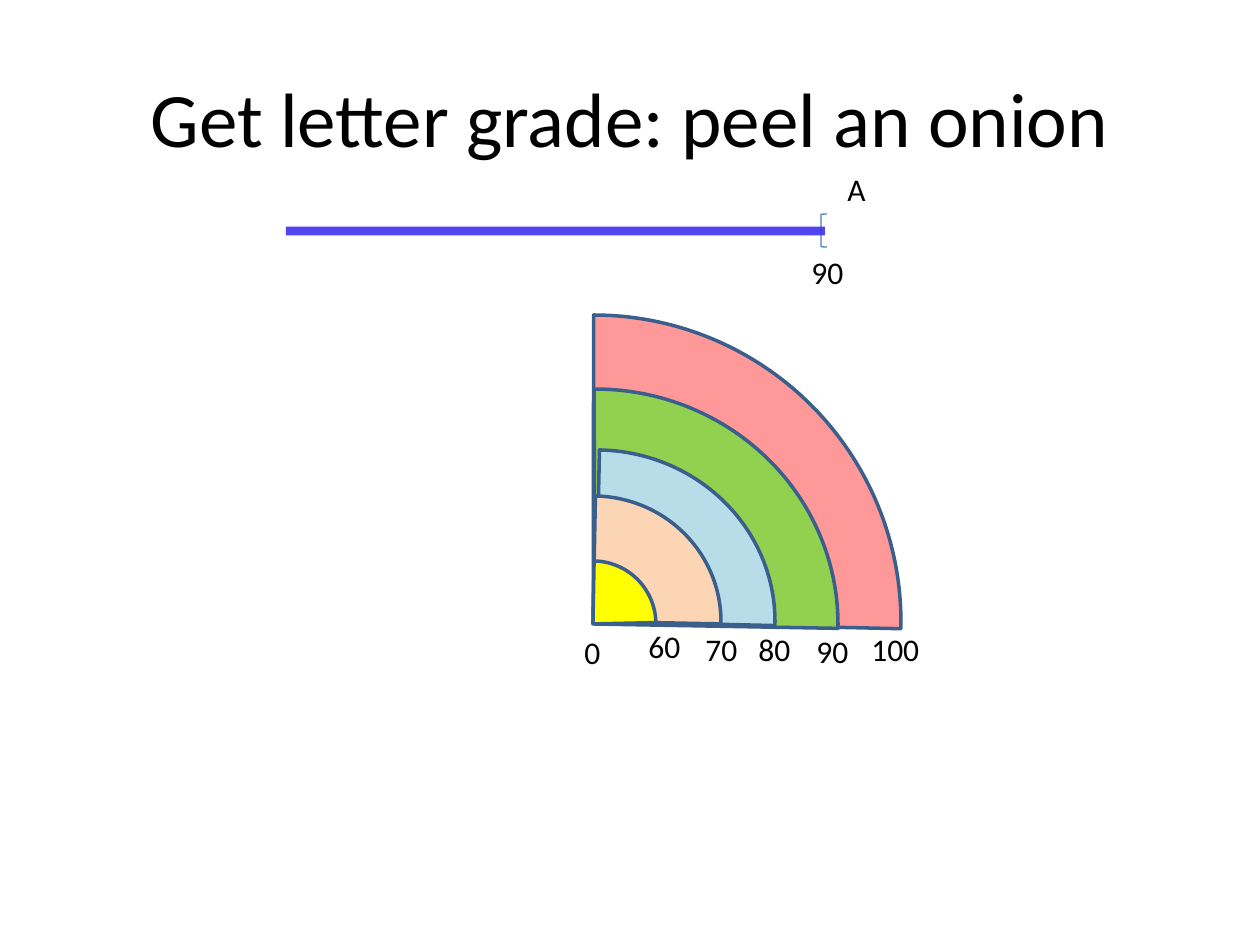
"""Build the letter-grade onion slide."""
from lxml import etree
from pptx import Presentation
from pptx.dml.color import RGBColor
from pptx.enum.shapes import MSO_CONNECTOR, MSO_SHAPE
from pptx.enum.text import MSO_ANCHOR, MSO_AUTO_SIZE, PP_ALIGN
from pptx.oxml.ns import qn
from pptx.util import Emu, Pt

STRAIGHT = MSO_CONNECTOR.STRAIGHT
PIE = MSO_SHAPE.PIE
LEFT_BRACKET = MSO_SHAPE.LEFT_BRACKET
MIDDLE = MSO_ANCHOR.MIDDLE
CENTER = PP_ALIGN.CENTER
FIT_SHAPE = MSO_AUTO_SIZE.SHAPE_TO_FIT_TEXT
SCALE = 914400 / 126
ANGLE_UNIT = 60000 / 100000
TITLE_ONLY = 5
LABEL_HEIGHT = 50

COLORS = {
    "text": "000000", "bracket": "4B7EBC", "range": "3F31EF", "outline": "3A5F8C",
    "grade_a": "FF0000", "grade_b": "92D050", "grade_c": "B7DEE8",
    "grade_d": "FCD5B5", "grade_f": "FFFF00",
}


def px(*lengths):
    return [Emu(round(length * SCALE)) for length in lengths]


def color(name):
    return RGBColor.from_string(COLORS[name])


def set_alpha(fill_element, percent):
    shade = fill_element.find(".//" + qn("a:srgbClr"))
    etree.SubElement(shade, qn("a:alpha"), val=str(percent * 1000))


class OnionSlide:
    def __init__(self, page, font="Calibri"):
        self.page = page
        self.font = font
        self.target = page.shapes

    def start_group(self):
        self.target = self.page.shapes.add_group_shape().shapes

    def style_text(self, paragraph, size):
        for span in paragraph.runs:
            span.font.name = self.font
            span.font.size = Pt(size)
            span.font.color.rgb = color("text")

    def title(self, text, bounds):
        box = self.page.shapes.title
        box.left, box.top, box.width, box.height = px(*bounds)
        box.text_frame.text = text
        box.text_frame.vertical_anchor = MIDDLE
        paragraph = box.text_frame.paragraphs[0]
        paragraph.alignment = CENTER
        self.style_text(paragraph, 44)

    def label(self, text, left, top, width):
        box = self.target.add_textbox(*px(left, top, width, LABEL_HEIGHT))
        box.text_frame.text = text
        box.text_frame.word_wrap = False
        box.text_frame.auto_size = FIT_SHAPE
        self.style_text(box.text_frame.paragraphs[0], 18)

    def outline(self, shape, name, width):
        shape.line.color.rgb = color(name)
        shape.line.width = Pt(width)

    def bracket(self, bounds):
        shape = self.target.add_shape(LEFT_BRACKET, *px(*bounds))
        shape.shadow.inherit = False
        shape.fill.background()
        self.outline(shape, "bracket", 0.75)

    def range_line(self, start, end):
        line = self.target.add_connector(STRAIGHT, *px(*start, *end))
        self.outline(line, "range", 5)
        properties = line._element.spPr
        set_alpha(properties.find(qn("a:ln")), 89)
        etree.SubElement(properties, qn("a:effectLst"))

    def layer(self, name, bounds, angles, alpha=None):
        shape = self.target.add_shape(PIE, *px(*bounds))
        shape.shadow.inherit = False
        for index, angle in enumerate(angles):
            shape.adjustments[index] = angle * ANGLE_UNIT
        shape.fill.solid()
        shape.fill.fore_color.rgb = color(name)
        if alpha:
            set_alpha(shape._element.spPr.find(qn("a:solidFill")), alpha)
        self.outline(shape, "outline", 2)


def main():
    deck = Presentation()
    deck.slide_width, deck.slide_height = px(1260, 945)
    slide = OnionSlide(deck.slides.add_slide(deck.slide_layouts[TITLE_ONLY]))

    slide.title("Get letter grade: peel an onion", (63, 38, 1134, 157))
    slide.label("90", 799, 247, 58)
    slide.bracket((821, 214, 6, 33))
    slide.label("A", 835, 164, 44)
    slide.range_line((825, 231), (286, 231))

    slide.start_group()
    for layer in (
        ("grade_a", (286, 315, 615, 614), (270.02, 1.25), 40),
        ("grade_b", (352, 389, 486, 470), (269.77, 1.02)),
        ("grade_c", (417, 450, 358, 343), (271.16, 1.34)),
        ("grade_d", (465, 496, 256, 251), (271.11, 1.1)),
        ("grade_f", (530, 561, 126, 126), (271.06, 358.76)),
    ):
        slide.layer(*layer)
    for label in (
        ("0", 572, 627, 42),
        ("60", 636, 621, 58),
        ("70", 693, 624, 58),
        ("80", 746, 624, 58),
        ("90", 804, 626, 58),
        ("100", 859, 624, 74),
    ):
        slide.label(*label)
    deck.save("out.pptx")


if __name__ == "__main__":
    main()
